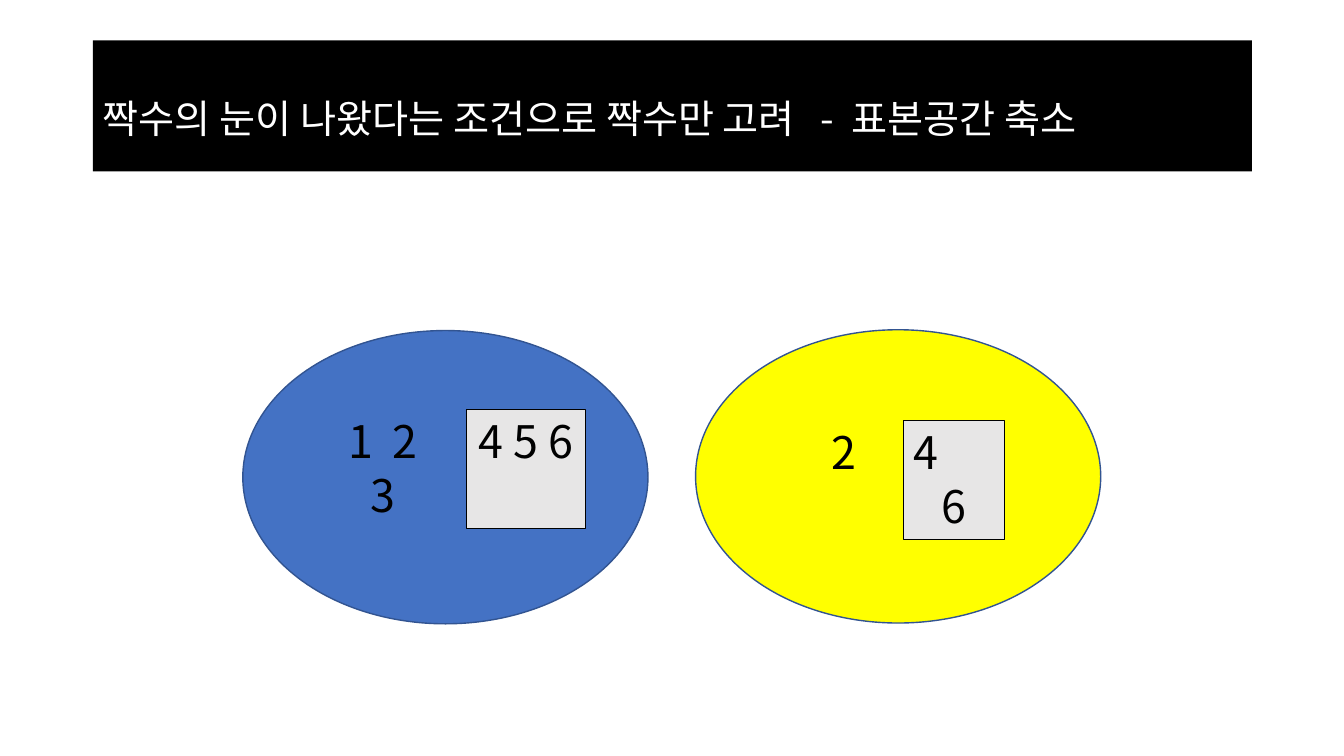
from pptx import Presentation
from pptx.dml.color import RGBColor
from pptx.enum import shapes, text
from pptx.oxml.ns import qn
from pptx.util import Cm, Pt
from lxml import etree

FONT = "Noto Sans CJK KR"
BLACK = RGBColor(0x00, 0x00, 0x00)
WHITE = RGBColor(0xFF, 0xFF, 0xFF)
BLUE = RGBColor(0x44, 0x72, 0xC4)
YELLOW = RGBColor(0xFF, 0xFF, 0x00)
OUTLINE = RGBColor(0x32, 0x54, 0x91)
GREY = RGBColor(0xE7, 0xE6, 0xE6)
LEFT, CENTER = text.PP_ALIGN.LEFT, text.PP_ALIGN.CENTER


def add_run(p, words, size, color, spacing=0):
    """Add a run; spacing is extra letter spacing in points."""
    r = p.add_run()
    r.text = words
    r.font.size = Pt(size)
    r.font.name = FONT
    r.font.color.rgb = color
    rPr = r.font._element
    etree.SubElement(rPr, qn("a:ea")).set("typeface", FONT)
    if spacing:
        rPr.set("spc", str(spacing * 100))


def add_shape(kind, box, fill, line, width):
    sp = s.shapes.add_shape(kind, *[Cm(v) for v in box])
    sp.shadow.inherit = False
    sp.fill.solid()
    sp.fill.fore_color.rgb = fill
    sp.line.color.rgb = line
    sp.line.width = Pt(width)
    return sp


prs = Presentation()
prs.slide_width, prs.slide_height = Cm(33.87), Cm(19.05)
s = prs.slides.add_slide(prs.slide_layouts[5])

title = s.shapes.title
title.left, title.top, title.width, title.height = Cm(2.34), Cm(1.02), Cm(29.21), Cm(3.3)
title.fill.solid()
title.fill.fore_color.rgb = BLACK
tf = title.text_frame
tf.word_wrap = True
tf.auto_size = text.MSO_AUTO_SIZE.NONE
tf.vertical_anchor = text.MSO_ANCHOR.MIDDLE
p = tf.paragraphs[0]
p.alignment = LEFT
p.line_spacing = 1.5
for words, spacing in [("짝수의 눈이 나왔다는 조건으로 짝수만 고려", 0), (" ", 12), ("-", 0),
                       (" ", 6), ("표본공간 축소", 0)]:
    add_run(p, words, 28, WHITE, spacing)

# Each sample space: ellipse, numbers outside the event, numbers inside it.
# A line of numbers is (alignment, [(words, letter spacing)]).
sample_spaces = [
    (BLUE, (6.12, 8.33),
     (8.15, 10.31, 3, 3), [(CENTER, [("1", 0), (" ", 7), ("2", 0)]), (CENTER, [("3", 0)])],
     (11.76, 10.31, 3, 3), [(CENTER, [("4 5 6", 0)])]),
    (YELLOW, (17.53, 8.31),
     (19.76, 10.59, 3, 1.63), [(CENTER, [("2", 0)])],
     (22.78, 10.59, 2.54, 3), [(LEFT, [("4", 0)]), (CENTER, [("6", 0)])]),
]
for fill, corner, outside_box, outside, event_box, event in sample_spaces:
    add_shape(shapes.MSO_SHAPE.OVAL, (*corner, 10.21, 7.39), fill, OUTLINE, 1)
    outside_sp = s.shapes.add_textbox(*[Cm(v) for v in outside_box])
    event_sp = add_shape(shapes.MSO_SHAPE.RECTANGLE, event_box, GREY, BLACK, 0.75)
    for sp, lines in [(outside_sp, outside), (event_sp, event)]:
        tf = sp.text_frame
        tf.word_wrap = True
        tf.vertical_anchor = text.MSO_ANCHOR.TOP
        for i, (alignment, runs) in enumerate(lines):
            p = tf.add_paragraph() if i else tf.paragraphs[0]
            p.alignment = alignment
            for words, spacing in runs:
                add_run(p, words, 32, BLACK, spacing)

prs.save("out.pptx")
